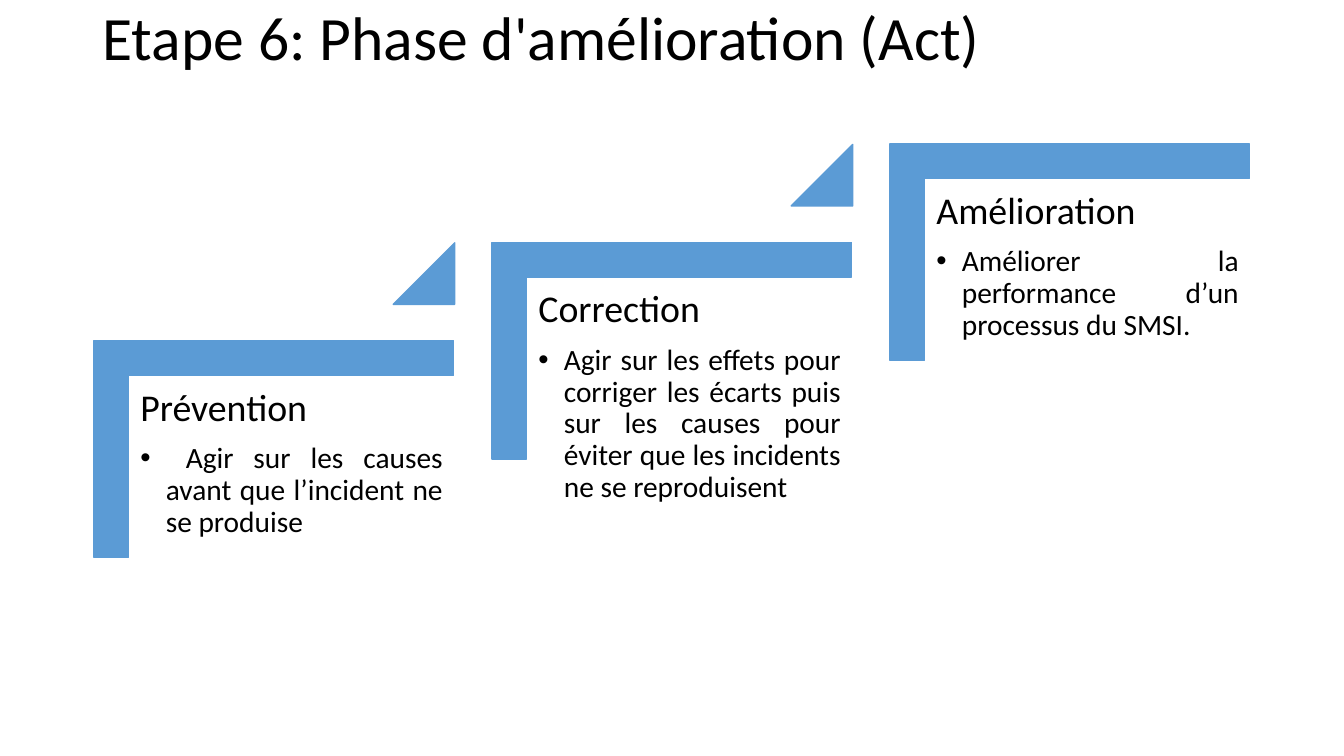
"""Build the slide on the improvement phase (Act) as three rising steps."""
from pptx import Presentation
from pptx import util as u
from pptx.dml.color import RGBColor
from pptx.enum import shapes, text
from pptx.oxml import parse_xml
from pptx.oxml.ns import nsdecls

BLUE = "5B9BD5"
STEP_RIGHT, STEP_UP = 10.03, 2.48
STEPS = [
    ("Prévention", " Agir sur les causes avant que l’incident ne se produise"),
    ("Correction", "Agir sur les effets pour corriger les écarts puis sur les "
                   "causes pour éviter que les incidents ne se reproduisent"),
    ("Amélioration", "Améliorer la performance d’un processus du SMSI."),
]


def paint(shape, color):
    shape.shadow.inherit = False
    shape.fill.solid()
    shape.fill.fore_color.rgb = RGBColor.from_string(color)
    shape.line.color.rgb = RGBColor.from_string(color)
    shape.line.width = u.Pt(1)


def write(para, words, size, after=0, align=text.PP_ALIGN.LEFT, bullet=False, color="000000"):
    para.alignment = align
    para.line_spacing = 0.9
    para.space_after = u.Pt(after)
    span = para.add_run()
    span.text = words
    span.font.name = "Calibri"
    span.font.size = u.Pt(size)
    span.font.color.rgb = RGBColor.from_string(color)
    if bullet:
        properties = para._p.get_or_add_pPr()
        properties.set("marL", str(u.Cm(0.64)))
        properties.set("indent", str(u.Cm(-0.64)))
        properties.append(parse_xml(f'<a:buFont {nsdecls("a")} typeface="Arial"/>'))
        properties.append(parse_xml(f'<a:buChar {nsdecls("a")} char="•"/>'))


deck = Presentation()
deck.slide_width, deck.slide_height = u.Cm(33.87), u.Cm(19.05)
page = deck.slides.add_slide(deck.slide_layouts[5])

title = page.shapes.title
title.left, title.top, title.width, title.height = u.Cm(2.33), u.Cm(0), u.Cm(29.21), u.Cm(2.03)
title.text_frame.vertical_anchor = text.MSO_ANCHOR.MIDDLE
write(title.text_frame.paragraphs[0], "Etape 6: Phase d'amélioration (Act)", 44)

stairs = page.shapes.add_group_shape().shapes
for index, (heading, detail) in enumerate(STEPS):
    right, up = index * STEP_RIGHT, index * STEP_UP

    corner = stairs.add_shape(shapes.MSO_SHAPE.CORNER, u.Cm(4.17 + right), u.Cm(6.78 - up),
                              u.Cm(5.46), u.Cm(9.07))
    corner.rotation = 90
    corner.adjustments[0] = corner.adjustments[1] = 0.16
    paint(corner, BLUE)

    box = stairs.add_textbox(u.Cm(3.25 + right), u.Cm(9.5 - up), u.Cm(8.2), u.Cm(7.19))
    frame = box.text_frame
    frame.word_wrap = True
    frame.margin_left = frame.margin_right = frame.margin_top = frame.margin_bottom = u.Cm(0.29)
    write(frame.paragraphs[0], heading, 27, after=10)
    write(frame.add_paragraph(), detail, 21, after=3, align=text.PP_ALIGN.JUSTIFY, bullet=True)

    if index < len(STEPS) - 1:
        triangle = stairs.add_shape(shapes.MSO_SHAPE.ISOSCELES_TRIANGLE, u.Cm(9.91 + right),
                                    u.Cm(6.12 - up), u.Cm(1.55), u.Cm(1.55))
        triangle.adjustments[0] = 1
        paint(triangle, BLUE)

deck.save("out.pptx")
